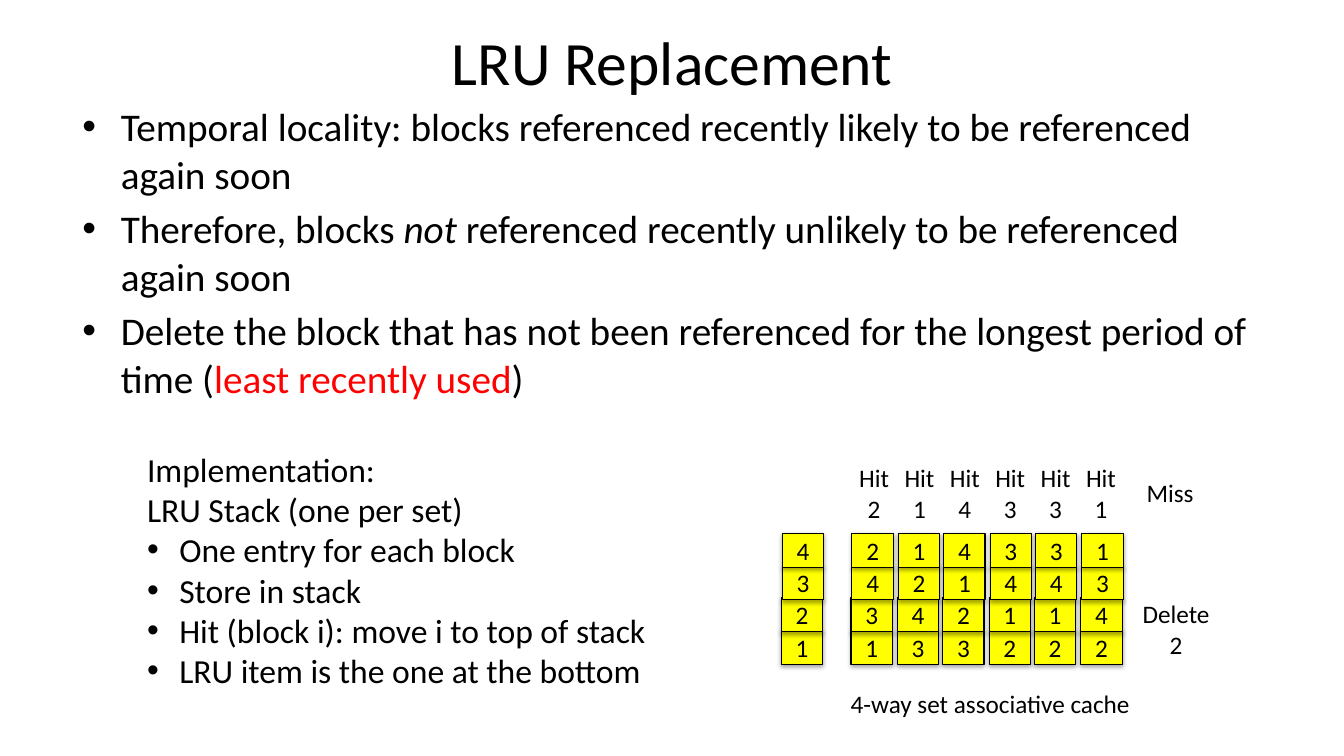
import lxml.etree
import pptx
import pptx.dml.color
import pptx.enum.shapes
import pptx.enum.text
import pptx.oxml
import pptx.oxml.ns
import pptx.util

COLORS = {"black": "000000", "red": "FF0000", "yellow": "FFFF00"}
ALIGN = pptx.enum.text.PP_ALIGN
ANCHOR = pptx.enum.text.MSO_ANCHOR


def px(count):
    return pptx.util.Emu(count * 9144)


def rgb(name):
    return pptx.dml.color.RGBColor.from_string(COLORS[name])


class SlideBuilder:
    font = "Calibri"

    def __init__(self, page):
        self.page = page

    def fill_para(self, para, content, size, align):
        para.alignment = align
        para.font.name = self.font
        para.font.size = pptx.util.Pt(size)
        para.font.color.rgb = rgb("black")
        spans = [(content, None)] if isinstance(content, str) else content
        for words, emphasis in spans:
            span = para.add_run()
            span.text = words
            if emphasis == "italic":
                span.font.italic = True
            elif emphasis:
                span.font.color.rgb = rgb(emphasis)

    def bullet(self, para, indent):
        properties = para._p.get_or_add_pPr()
        properties.set("marL", str(px(indent)))
        properties.set("indent", str(px(-indent)))
        run_defaults = properties.find(pptx.oxml.ns.qn("a:defRPr"))
        for tag, key, value in (("buFont", "typeface", "Arial"), ("buChar", "char", "•")):
            marker = lxml.etree.Element(pptx.oxml.ns.qn(f"a:{tag}"), {key: value})
            run_defaults.addprevious(marker)

    def text(self, left, top, width, height, lines, size, align=ALIGN.LEFT,
             wrap=False, anchor=ANCHOR.TOP, indent=0, plain_lines=0, space=0):
        box = self.page.shapes.add_textbox(px(left), px(top), px(width), px(height))
        frame = box.text_frame
        frame.word_wrap = wrap
        frame.vertical_anchor = anchor
        if not wrap:
            frame.auto_size = pptx.enum.text.MSO_AUTO_SIZE.SHAPE_TO_FIT_TEXT
        for number, line in enumerate(lines):
            para = frame.add_paragraph() if number else frame.paragraphs[0]
            self.fill_para(para, line, size, align)
            para.space_before = pptx.util.Pt(space)
            if indent and number >= plain_lines:
                self.bullet(para, indent)

    def cell(self, group, left, top, label):
        box = group.shapes.add_shape(
            pptx.enum.shapes.MSO_SHAPE.RECTANGLE, px(left), px(top), px(41), px(34))
        box.fill.solid()
        box.fill.fore_color.rgb = rgb("yellow")
        box.line.color.rgb = rgb("black")
        box.line.width = pptx.util.Pt(0.75)
        self.shadow(box)
        box.text_frame.vertical_anchor = ANCHOR.MIDDLE
        self.fill_para(box.text_frame.paragraphs[0], label, 18, ALIGN.CENTER)

    def shadow(self, box):
        box.shadow.inherit = False
        effects = box._element.spPr.find(pptx.oxml.ns.qn("a:effectLst"))
        effects.append(pptx.oxml.parse_xml(
            f'<a:outerShdw {pptx.oxml.ns.nsdecls("a")} blurRad="40000" dist="23000" '
            f'dir="5400000" rotWithShape="0"><a:srgbClr val="{COLORS["black"]}">'
            '<a:alpha val="35000"/></a:srgbClr></a:outerShdw>'))

    def stack(self, left, blocks):
        group = self.page.shapes.add_group_shape()
        for level, block in enumerate(reversed(blocks)):
            self.cell(group, left + level // 2, 625 - 32 * level, block)


def main():
    deck = pptx.Presentation()
    deck.slide_width, deck.slide_height = px(1333), px(750)
    slide = SlideBuilder(deck.slides.add_slide(deck.slide_layouts[6]))

    slide.text(217, -2, 900, 125, ["LRU Replacement"], 44, ALIGN.CENTER,
               wrap=True, anchor=ANCHOR.MIDDLE)
    principles = [
        "Temporal locality: blocks referenced recently likely to be referenced again soon",
        [("Therefore, blocks ", None), ("not", "italic"),
         (" referenced recently unlikely to be referenced again soon", None)],
        [("Delete the block that has not been referenced for the longest period of time (",
          None), ("least recently used", "red"), (")", None)],
    ]
    slide.text(72, 97, 1200, 312, principles, 28, wrap=True, indent=38, space=5.6)
    implementation = [
        "Implementation:",
        "LRU Stack (one per set)",
        "One entry for each block",
        "Store in stack",
        "Hit (block i): move i to top of stack",
        "LRU item is the one at the bottom",
    ]
    slide.text(136, 440, 518, 252, implementation, 24, indent=32, plain_lines=2)

    blocks = ["4", "3", "2", "1"]
    slide.stack(775, blocks)
    for column, hit in enumerate("214331"):
        blocks = [hit] + [block for block in blocks if block != hit]
        slide.stack(844 + round(45.6 * column), blocks)
        slide.text(842 + 45 * column, 454, 50, 71, ["Hit", hit], 18, ALIGN.CENTER)

    slide.text(1127, 469, 67, 40, ["Miss"], 18, ALIGN.CENTER)
    slide.text(832, 678, 300, 40, ["4-way set associative cache"], 18, ALIGN.CENTER)
    slide.text(1123, 589, 87, 71, ["Delete", blocks[-1]], 18, ALIGN.CENTER)
    deck.save("out.pptx")


if __name__ == "__main__":
    main()
